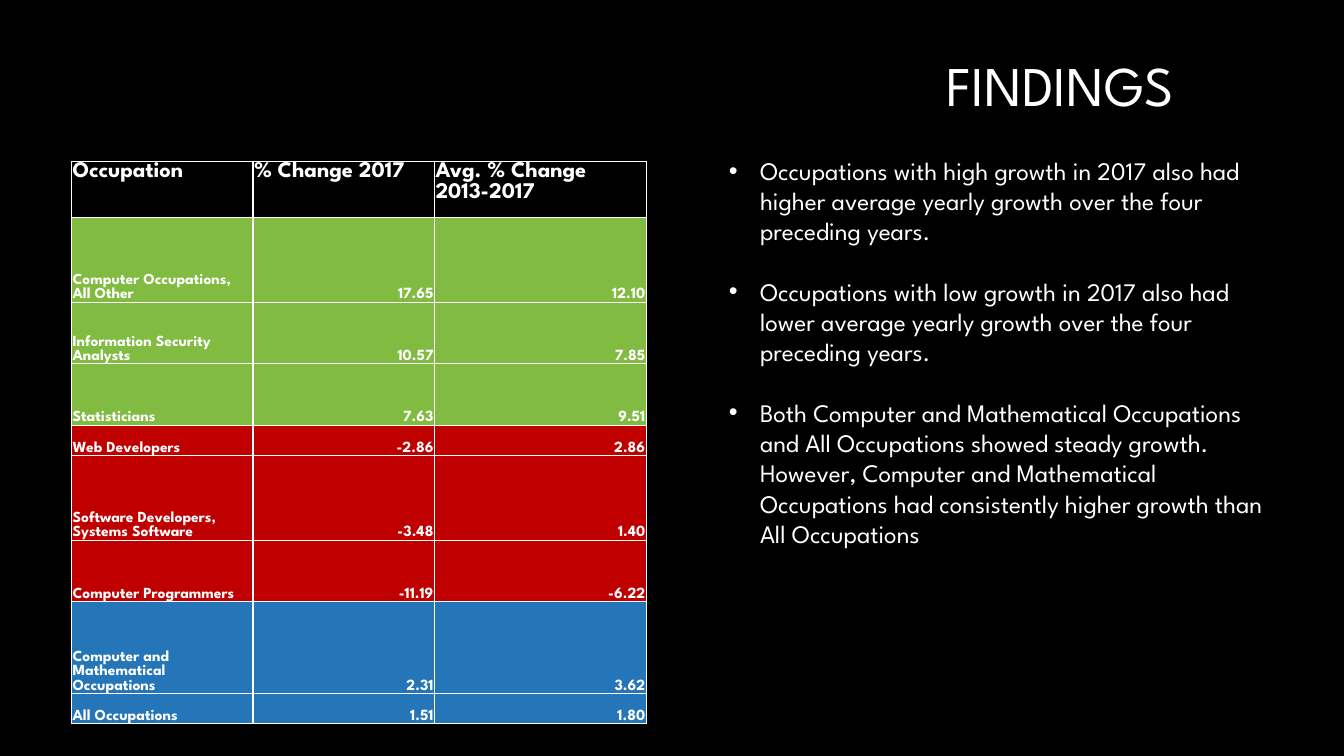
"""Build the findings slide: an occupation growth table beside three bullets."""
from dataclasses import dataclass

from lxml import etree
from pptx import Presentation
from pptx import util as u
from pptx.dml.color import RGBColor
from pptx.enum import text
from pptx.oxml import ns

FONT = "League Spartan"
COLORS = {
    "black": "000000",
    "white": "FFFFFF",
    "high": "81BB42",
    "low": "C00000",
    "total": "2476B9",
}
COLUMN_WIDTHS = (1.8, 1.8, 2.1)
BULLET_INDENT = 0.31


@dataclass
class TableRow:
    values: tuple[str, str, str]
    height: float
    fill: str


ROWS = [
    TableRow(("Occupation", "% Change 2017", "Avg. % Change 2013-2017"), 0.56, "black"),
    TableRow(("Computer Occupations, All Other", "17.65", "12.10"), 0.84, "high"),
    TableRow(("Information Security Analysts", "10.57", "7.85"), 0.61, "high"),
    TableRow(("Statisticians", "7.63", "9.51"), 0.61, "high"),
    TableRow(("Web Developers", "-2.86", "2.86"), 0.3, "low"),
    TableRow(("Software Developers, Systems Software", "-3.48", "1.40"), 0.84, "low"),
    TableRow(("Computer Programmers", "-11.19", "-6.22"), 0.61, "low"),
    TableRow(("Computer and Mathematical Occupations", "2.31", "3.62"), 0.91, "total"),
    TableRow(("All Occupations", "1.51", "1.80"), 0.3, "total"),
]
FINDINGS = [
    "Occupations with high growth in 2017 also had higher average yearly growth "
    "over the four preceding years.",
    "Occupations with low growth in 2017 also had lower average yearly growth "
    "over the four preceding years.",
    "Both Computer and Mathematical Occupations and All Occupations showed steady "
    "growth. However, Computer and Mathematical Occupations had consistently "
    "higher growth than All Occupations",
]


def color(name: str) -> RGBColor:
    return RGBColor.from_string(COLORS[name])


def add_run(paragraph, content: str, size: float, bold: bool = False) -> None:
    run = paragraph.add_run()
    run.text = content
    run.font.name = FONT
    run.font.size = u.Pt(size)
    run.font.bold = bold
    run.font.color.rgb = color("white")


def add_text_frame(slide, left: float, top: float, width: float, height: float):
    box = slide.shapes.add_textbox(
        u.Inches(left), u.Inches(top), u.Inches(width), u.Inches(height))
    box.text_frame.word_wrap = True
    return box.text_frame


def add_borders(cell) -> None:
    properties = cell._tc.get_or_add_tcPr()
    for position, side in enumerate(("lnL", "lnR", "lnT", "lnB")):
        line = etree.Element(ns.qn(f"a:{side}"), w=str(u.Pt(1)))
        fill = etree.SubElement(line, ns.qn("a:solidFill"))
        etree.SubElement(fill, ns.qn("a:srgbClr"), val=COLORS["white"])
        properties.insert(position, line)


def fill_cell(cell, content: str, row: TableRow, is_header: bool, is_number: bool) -> None:
    cell.fill.solid()
    cell.fill.fore_color.rgb = color(row.fill)
    cell.margin_left = cell.margin_right = cell.margin_top = u.Inches(0.01)
    cell.margin_bottom = u.Inches(0)
    cell.vertical_anchor = text.MSO_ANCHOR.TOP if is_header else text.MSO_ANCHOR.BOTTOM
    paragraph = cell.text_frame.paragraphs[0]
    paragraph.alignment = text.PP_ALIGN.RIGHT if is_number else text.PP_ALIGN.LEFT
    size = 16 if is_header else 11.1 if is_number else 11
    add_run(paragraph, content, size, bold=True)
    add_borders(cell)


def add_growth_table(slide) -> None:
    table = slide.shapes.add_table(
        len(ROWS), len(COLUMN_WIDTHS), u.Inches(0.71), u.Inches(1.6),
        u.Inches(sum(COLUMN_WIDTHS)), u.Inches(sum(row.height for row in ROWS))).table
    for column, width in zip(table.columns, COLUMN_WIDTHS):
        column.width = u.Inches(width)
    for row_index, row in enumerate(ROWS):
        table.rows[row_index].height = u.Inches(row.height)
        is_header = row_index == 0
        for column_index, content in enumerate(row.values):
            is_number = column_index > 0 and not is_header
            fill_cell(table.cell(row_index, column_index), content, row, is_header, is_number)


def add_title(slide) -> None:
    frame = add_text_frame(slide, 6.18, 0.43, 5.56, 0.89)
    frame.vertical_anchor = text.MSO_ANCHOR.MIDDLE
    paragraph = frame.paragraphs[0]
    paragraph.alignment = text.PP_ALIGN.RIGHT
    paragraph.line_spacing = 0.9
    add_run(paragraph, "FINDINGS", 40)


def add_findings(slide) -> None:
    frame = add_text_frame(slide, 7.13, 1.49, 5.64, 5.55)
    for index, finding in enumerate(FINDINGS):
        paragraph = frame.add_paragraph() if index else frame.paragraphs[0]
        paragraph.space_before = u.Pt(21.6 if index else 0)
        properties = paragraph._p.get_or_add_pPr()
        properties.set("marL", str(u.Inches(BULLET_INDENT)))
        properties.set("indent", str(u.Inches(-BULLET_INDENT)))
        etree.SubElement(properties, ns.qn("a:buFont"), typeface="Arial")
        etree.SubElement(properties, ns.qn("a:buChar"), char="•")
        add_run(paragraph, finding, 18)


def main() -> None:
    presentation = Presentation()
    presentation.slide_width = u.Inches(13.33)
    presentation.slide_height = u.Inches(7.5)
    slide = presentation.slides.add_slide(presentation.slide_layouts[6])
    slide.background.fill.solid()
    slide.background.fill.fore_color.rgb = color("black")
    add_title(slide)
    add_growth_table(slide)
    add_findings(slide)
    presentation.save("out.pptx")


if __name__ == "__main__":
    main()
